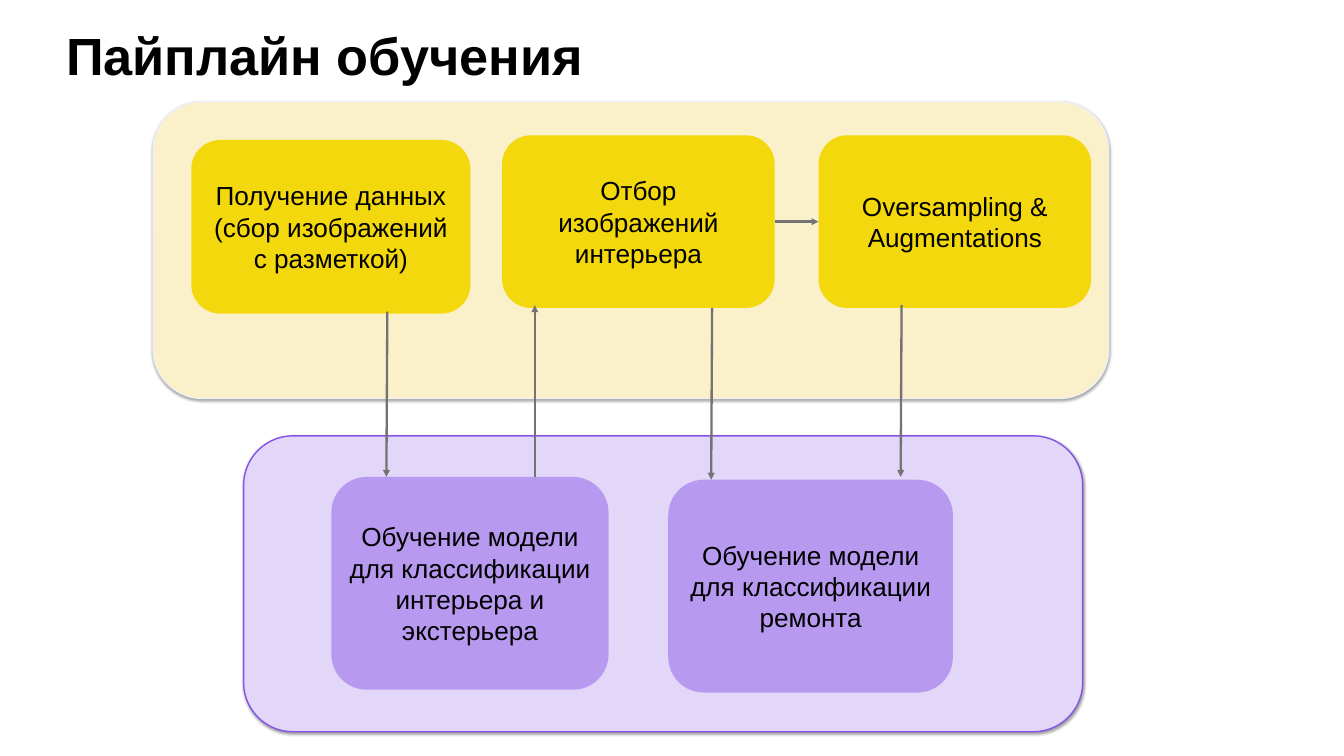
"""Build the training pipeline slide."""
import pptx
import pptx.util
import pptx.dml.color
import pptx.enum.shapes
import pptx.enum.text
import pptx.oxml
import pptx.oxml.ns

Pt = pptx.util.Pt


def color(value):
    return pptx.dml.color.RGBColor.from_string(value)


class Diagram:
    FONT = "Arial"
    TEXT = "000000"
    ARROW = "737373"
    NAMESPACE = pptx.oxml.ns.nsdecls("a")

    def __init__(self, page):
        self.page = page

    def style(self, para, size, bold=False):
        for span in para.runs:
            span.font.name = self.FONT
            span.font.size = Pt(size)
            span.font.bold = bold
            span.font.color.rgb = color(self.TEXT)

    def title(self, text, left, top, width, height):
        box = self.page.shapes.title
        box.left, box.top, box.width, box.height = map(Pt, (left, top, width, height))
        frame = box.text_frame
        frame.text = text
        frame.word_wrap = True
        frame.auto_size = pptx.enum.text.MSO_AUTO_SIZE.NONE
        frame.vertical_anchor = pptx.enum.text.MSO_ANCHOR.TOP
        frame.margin_left = frame.margin_right = frame.margin_top = frame.margin_bottom = 0
        para = frame.paragraphs[0]
        para.alignment = pptx.enum.text.PP_ALIGN.LEFT
        para.line_spacing = 0.8
        self.style(para, 56, bold=True)

    def rounded(self, fill, left, top, width, height):
        box = self.page.shapes.add_shape(
            pptx.enum.shapes.MSO_SHAPE.ROUNDED_RECTANGLE,
            Pt(left), Pt(top), Pt(width), Pt(height))
        box.shadow.inherit = False
        box.fill.solid()
        box.fill.fore_color.rgb = color(fill)
        box.line.fill.background()
        return box

    def panel(self, fill, line, *bounds):
        box = self.rounded(fill, *bounds)
        box.line.color.rgb = color(line)
        box.line.width = Pt(1.5)
        effects = box._element.spPr.find(pptx.oxml.ns.qn("a:effectLst"))
        effects.append(pptx.oxml.parse_xml(
            f'<a:outerShdw {self.NAMESPACE} blurRad="{Pt(3.1)}" dist="{Pt(1.6)}" '
            'dir="5400000" rotWithShape="0"><a:srgbClr val="000000">'
            '<a:alpha val="38000"/></a:srgbClr></a:outerShdw>'))

    def step(self, text, fill, *bounds):
        box = self.rounded(fill, *bounds)
        frame = box.text_frame
        frame.text = text
        frame.word_wrap = True
        frame.vertical_anchor = pptx.enum.text.MSO_ANCHOR.MIDDLE
        for para in frame.paragraphs:
            para.alignment = pptx.enum.text.PP_ALIGN.CENTER
            self.style(para, 28)
        return box

    def arrow(self, start_x, start_y, end_x, end_y):
        line = self.page.shapes.add_connector(
            pptx.enum.shapes.MSO_CONNECTOR.STRAIGHT,
            Pt(start_x), Pt(start_y), Pt(end_x), Pt(end_y))
        line.line.color.rgb = color(self.ARROW)
        line.line.width = Pt(2.5)
        line.line._get_or_add_ln().append(
            pptx.oxml.parse_xml(f'<a:tailEnd {self.NAMESPACE} type="triangle"/>'))
        line._element.spPr.append(
            pptx.oxml.parse_xml(f"<a:effectLst {self.NAMESPACE}/>"))
        return line


def main():
    deck = pptx.Presentation()
    deck.slide_width, deck.slide_height = Pt(1440), Pt(810)
    diagram = Diagram(deck.slides.add_slide(deck.slide_layouts[5]))
    diagram.title("Пайплайн обучения", 71, 38, 961, 78)

    yellow, purple = "F3D80D", "B79AF0"
    diagram.panel("FAF1CA", "EEEFF2", 164, 109, 1024, 318)
    diagram.step("Получение данных\n(сбор изображений с разметкой)",
                 yellow, 205, 150, 299, 186)
    selection = diagram.step("Отбор изображений интерьера", yellow, 538, 145, 292, 185)
    augmentation = diagram.step("Oversampling & Augmentations",
                                yellow, 877, 145, 292, 185)

    diagram.panel("E2D7F9", "8554E6", 261, 467, 899, 317)
    diagram.step("Обучение модели для классификации интерьера и экстерьера",
                 purple, 355, 511, 297, 228)
    diagram.step("Обучение модели для классификации ремонта",
                 purple, 716, 514, 305, 228)

    for points in ((415, 334, 414, 511), (573, 511, 573, 327),
                   (763, 330, 762, 514), (966, 327, 965, 511)):
        diagram.arrow(*points)
    link = diagram.arrow(830, 237.5, 877, 237.5)
    link.begin_connect(selection, 3)
    link.end_connect(augmentation, 1)

    deck.save("out.pptx")


if __name__ == "__main__":
    main()
